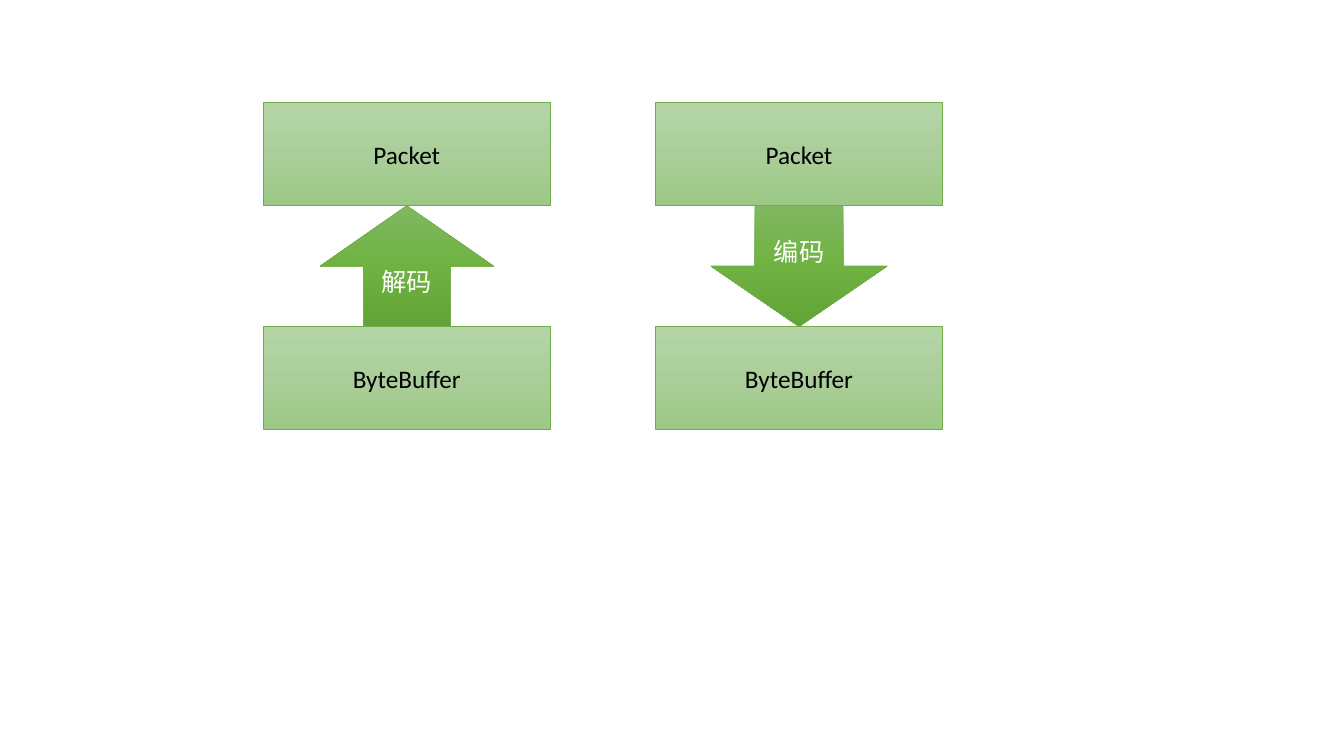
from copy import deepcopy

from pptx import Presentation
from pptx.dml.color import RGBColor
from pptx.enum.shapes import MSO_SHAPE as Shape
from pptx.enum.text import MSO_ANCHOR as Anchor, PP_ALIGN as Align
from pptx.oxml.ns import qn
from pptx.util import Inches, Pt

COLORS = {
    "outline": "70AD47",
    "box_text": "000000",
    "arrow_text": "FFFFFF",
}
GRADIENTS = {
    "box": ("B5D5A7", "AACE9A", "9CC987"),
    "arrow": ("81B861", "6FB242", "62A336"),
}

BOX_WIDTH, BOX_HEIGHT = 2.85, 1.02
ARROW_HEIGHT = 1.2
PACKET_TOP = 1.02
ARROW_TOP = PACKET_TOP + BOX_HEIGHT
BUFFER_TOP = ARROW_TOP + ARROW_HEIGHT
DECODE_LEFT, ENCODE_LEFT = 2.61, 6.5


def fill_gradient(shape, hex_colors):
    """Fill from top to bottom with three evenly spaced colours."""
    fill = shape.fill
    fill.gradient()
    fill.gradient_angle = 270
    stop_list = shape.fill._xPr.find(qn("a:gradFill")).find(qn("a:gsLst"))
    stop_list.insert(1, deepcopy(stop_list[0]))
    for stop, position, color in zip(fill.gradient_stops, (0, 0.5, 1), hex_colors):
        stop.position = position
        stop.color.rgb = RGBColor.from_string(color)


def add_labelled_shape(slide, kind, style, text, center, top, width, height):
    shape = slide.shapes.add_shape(
        kind, Inches(center - width / 2), Inches(top), Inches(width), Inches(height)
    )
    shape.shadow.inherit = False
    fill_gradient(shape, GRADIENTS[style])
    shape.line.color.rgb = RGBColor.from_string(COLORS["outline"])
    shape.line.width = Pt(0.5)

    frame = shape.text_frame
    frame.vertical_anchor = Anchor.MIDDLE
    para = frame.paragraphs[0]
    para.text = text
    para.alignment = Align.CENTER
    para.font.name = "Calibri"
    para.font.size = Pt(18)
    para.font.color.rgb = RGBColor.from_string(COLORS[f"{style}_text"])


def add_conversion(slide, left, arrow_kind, arrow_text, arrow_width):
    """Stack a packet box, an arrow and a buffer box in one column."""
    center = left + BOX_WIDTH / 2
    for text, top in (("ByteBuffer", BUFFER_TOP), ("Packet", PACKET_TOP)):
        add_labelled_shape(
            slide, Shape.RECTANGLE, "box", text, center, top, BOX_WIDTH, BOX_HEIGHT
        )
    add_labelled_shape(
        slide, arrow_kind, "arrow", arrow_text, center, ARROW_TOP, arrow_width, ARROW_HEIGHT
    )


def main():
    deck = Presentation()
    deck.slide_width, deck.slide_height = Inches(13.33), Inches(7.5)
    slide = deck.slides.add_slide(deck.slide_layouts[6])
    add_conversion(slide, DECODE_LEFT, Shape.UP_ARROW, "解码", 1.72)
    add_conversion(slide, ENCODE_LEFT, Shape.DOWN_ARROW, "编码", 1.75)
    deck.save("out.pptx")


if __name__ == "__main__":
    main()
